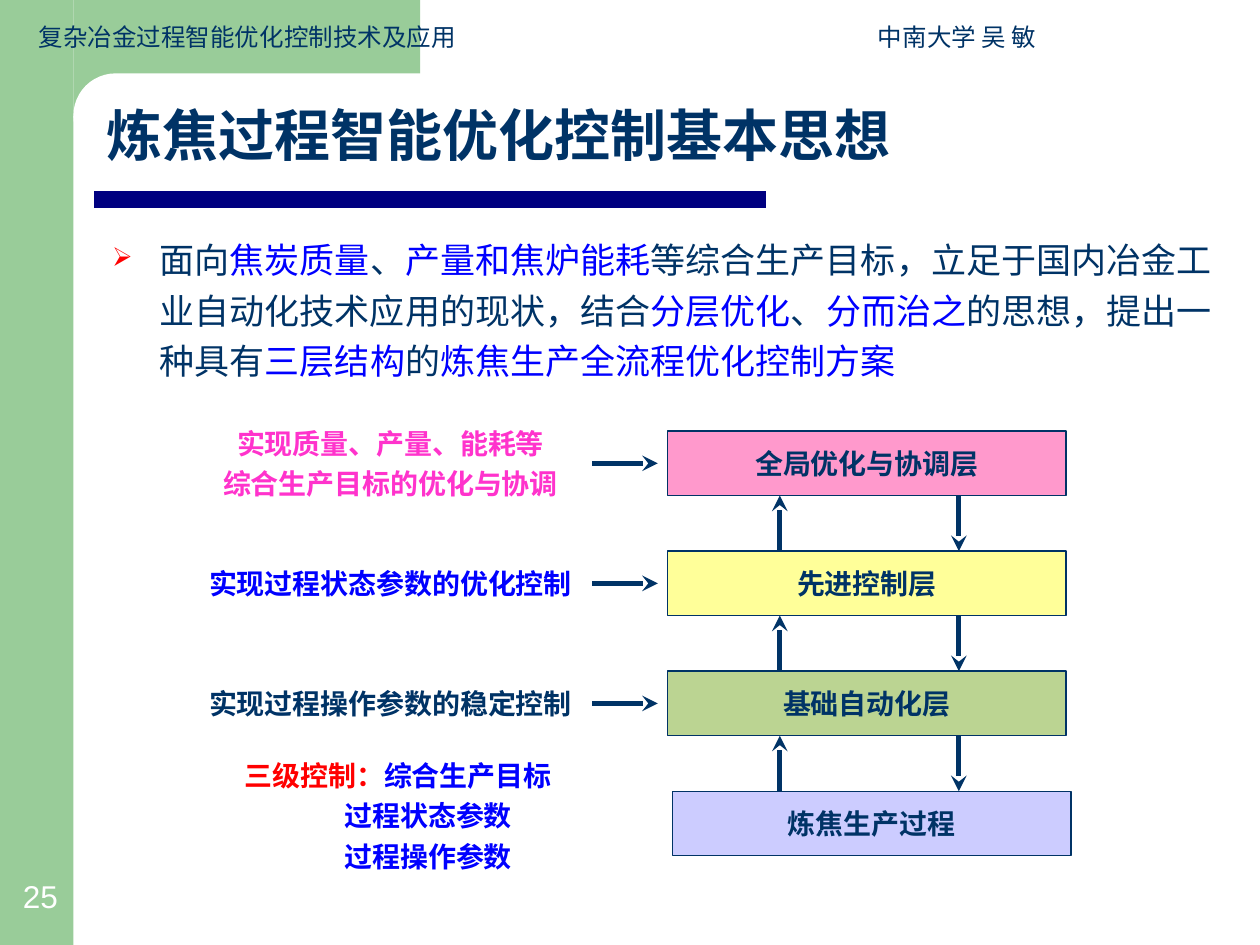
"""Build the slide on the three-layer control idea for the coking process."""
from lxml.etree import SubElement
from pptx import Presentation
from pptx.dml.color import RGBColor
from pptx.enum.shapes import MSO_CONNECTOR, MSO_SHAPE
from pptx.enum.text import MSO_ANCHOR as Anchor, PP_ALIGN as Align
from pptx.oxml.ns import qn
from pptx.util import Cm, Pt

NAVY = RGBColor(0x00, 0x33, 0x66)
BAR_BLUE = RGBColor(0x00, 0x00, 0x80)
BLUE = RGBColor(0x00, 0x00, 0xFF)
RED = RGBColor(0xFF, 0x00, 0x00)
MAGENTA = RGBColor(0xFF, 0x33, 0xCC)
WHITE = RGBColor(0xFF, 0xFF, 0xFF)
GREEN = RGBColor(0x99, 0xCC, 0x99)
PINK = RGBColor(0xFF, 0x99, 0xCC)
YELLOW = RGBColor(0xFF, 0xFF, 0x99)
OLIVE = RGBColor(0xBB, 0xD4, 0x92)
LILAC = RGBColor(0xCC, 0xCC, 0xFF)

SANS, SERIF, CJK = "Arial", "Times New Roman", "Noto Sans CJK SC"

HEADER = [[("复杂冶金过程智能优化控制技术及应用\t中南大学 吴 敏", NAVY)]]
TITLE = [[("炼焦过程智能优化控制基本思想", NAVY)]]
PAGE_NUMBER = [[("25", WHITE)]]
BODY = [[
    ("面向", NAVY), ("焦炭质量", BLUE), ("、", NAVY), ("产量和焦炉能耗", BLUE),
    ("等综合生产目标，立足于国内冶金工业自动化技术应用的现状，结合", NAVY),
    ("分层优化", BLUE), ("、", NAVY), ("分而治之", BLUE),
    ("的思想，提出一种具有", NAVY), ("三层结构", BLUE), ("的", NAVY),
    ("炼焦生产全流程优化控制方案", BLUE),
]]
LAYERS = [
    ("全局优化与协调层", PINK, 13.46, MAGENTA,
     ["实现质量、产量、能耗等", "综合生产目标的优化与协调"]),
    ("先进控制层", YELLOW, 13.46, BLUE, ["实现过程状态参数的优化控制"]),
    ("基础自动化层", OLIVE, 13.46, NAVY, ["实现过程操作参数的稳定控制"]),
    ("炼焦生产过程", LILAC, 13.56, NAVY, []),
]
SUMMARY = [
    [("三级控制：", RED), ("综合生产目标", BLUE)],
    [("过程状态参数", BLUE)],
    [("过程操作参数", BLUE)],
]
PANELS = [
    (MSO_SHAPE.RECTANGLE, 0, 0, 1.48, 19.05, GREEN),
    (MSO_SHAPE.RECTANGLE, 1.48, 0, 6.99, 2.34, GREEN),
    (MSO_SHAPE.ROUNDED_RECTANGLE, 1.48, 1.48, 14.17, 1.7, WHITE),
]

LAYER_TOP, LAYER_STEP, LAYER_WIDTH, LAYER_HEIGHT = 8.69, 2.42, 8.03, 1.3
LABEL_LEFT, LABEL_WIDTH, LABEL_HEIGHT = 3.81, 8.13, 1.75
ARROW_LEFT, ARROW_RIGHT = 11.94, 13.26
UP_X, DOWN_X = 15.72, 19.33


def fill_text(frame, paragraphs, size, font=SANS, bold=False,
              align=Align.LEFT, anchor=Anchor.TOP):
    frame.word_wrap = True
    frame.vertical_anchor = anchor
    for index, runs in enumerate(paragraphs):
        paragraph = frame.add_paragraph() if index else frame.paragraphs[0]
        paragraph.alignment = align
        if index:
            paragraph.space_before = Pt(4)
        for text, color in runs:
            run = paragraph.add_run()
            run.text = text
            run.font.size, run.font.bold = Pt(size), bold
            run.font.color.rgb = color
            run.font.name = font
            SubElement(run.font._element, qn("a:ea"), typeface=CJK)
    return frame


def add_text(slide, left, top, width, height, paragraphs, size, **style):
    box = slide.shapes.add_textbox(Cm(left), Cm(top), Cm(width), Cm(height))
    return fill_text(box.text_frame, paragraphs, size, **style)


def add_panel(slide, kind, left, top, width, height, color):
    shape = slide.shapes.add_shape(kind, Cm(left), Cm(top), Cm(width), Cm(height))
    shape.shadow.inherit = False
    shape.fill.solid()
    shape.fill.fore_color.rgb = color
    shape.line.fill.background()
    return shape


def add_line(slide, start, end, width=3, color=NAVY, arrow=True):
    line = slide.shapes.add_connector(
        MSO_CONNECTOR.STRAIGHT, *(Cm(value) for value in (*start, *end)))
    line.line.width = Pt(width)
    line.line.color.rgb = color
    if arrow:
        SubElement(line.line._get_or_add_ln(), qn("a:tailEnd"), type="stealth")
    SubElement(line._element.spPr, qn("a:effectLst"))


def add_bullet(paragraph):
    properties = paragraph._p.get_or_add_pPr()
    properties.set("marL", str(Cm(0.96)))
    properties.set("indent", str(-Cm(0.96)))
    color = SubElement(properties, qn("a:buClr"))
    SubElement(color, qn("a:srgbClr"), val=str(RED))
    SubElement(properties, qn("a:buSzPct"), val="75000")
    SubElement(properties, qn("a:buChar"), char="➢")
    paragraph.line_spacing = 1.2


def add_layer(slide, index, name, fill, left, label_color, label):
    top = LAYER_TOP + index * LAYER_STEP
    middle = top + LAYER_HEIGHT / 2
    box = add_panel(slide, MSO_SHAPE.RECTANGLE, left, top,
                    LAYER_WIDTH, LAYER_HEIGHT, fill)
    box.line.color.rgb = NAVY
    box.line.width = Pt(0.75)
    style = dict(bold=True, align=Align.CENTER, anchor=Anchor.MIDDLE)
    fill_text(box.text_frame, [[(name, NAVY)]], 16, **style)
    if label:
        add_text(slide, LABEL_LEFT, middle - LABEL_HEIGHT / 2, LABEL_WIDTH,
                 LABEL_HEIGHT, [[(line, label_color)] for line in label],
                 16, **style)
        add_line(slide, (ARROW_LEFT, middle), (ARROW_RIGHT, middle))
    if index:
        upper = top - LAYER_STEP + LAYER_HEIGHT
        add_line(slide, (UP_X, top), (UP_X, upper))
        add_line(slide, (DOWN_X, upper), (DOWN_X, top))


def main():
    presentation = Presentation()
    presentation.slide_width, presentation.slide_height = Cm(25.4), Cm(19.05)
    slide = presentation.slides.add_slide(presentation.slide_layouts[6])

    panels = [add_panel(slide, *panel) for panel in PANELS]
    panels[-1].adjustments[0] = 0.5

    add_text(slide, 1.9, 1.9, 22.43, 1.63, TITLE, 32, font=SERIF, bold=True)
    add_line(slide, (1.9, 4.02), (15.44, 4.02), 10, BAR_BLUE, arrow=False)
    body = add_text(slide, 2.01, 4.52, 23.29, 3.38, BODY, 20, font=SERIF)
    add_bullet(body.paragraphs[0])

    for index, layer in enumerate(LAYERS):
        add_layer(slide, index, *layer)

    summary = add_text(slide, 3.76, 15.16, 8.53, 2.57, SUMMARY, 16, font=CJK,
                       bold=True, align=Align.CENTER)
    for paragraph in summary.paragraphs[1:]:
        paragraph._p.get_or_add_pPr().set("marL", str(Cm(1.22)))

    header = add_text(slide, 0.53, 0.3, 24.33, 0.86, HEADER, 14,
                      anchor=Anchor.BOTTOM)
    tabs = SubElement(header.paragraphs[0]._p.get_or_add_pPr(), qn("a:tabLst"))
    SubElement(tabs, qn("a:tab"), pos=str(Cm(16.92)), algn="l")
    add_text(slide, 0, 17.55, 1.63, 1.02, PAGE_NUMBER, 18,
             align=Align.CENTER, anchor=Anchor.BOTTOM)

    presentation.save("out.pptx")


if __name__ == "__main__":
    main()
